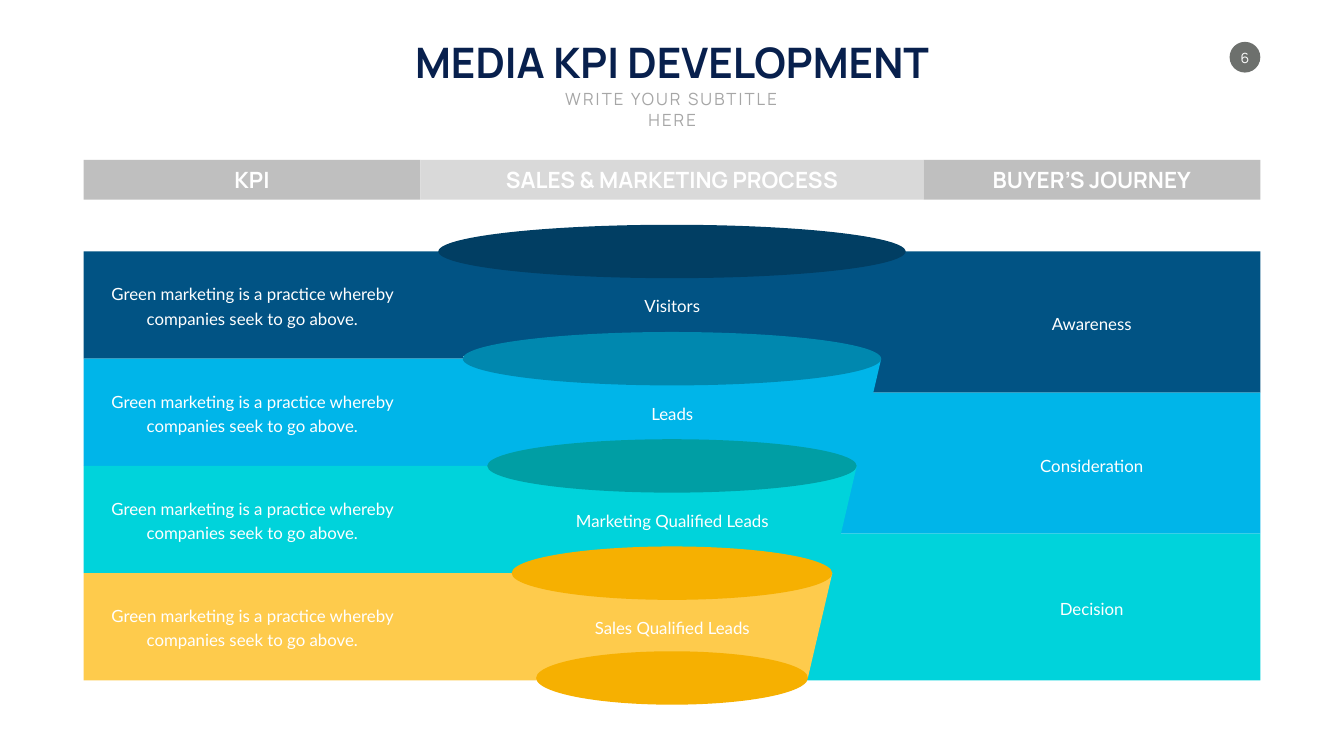
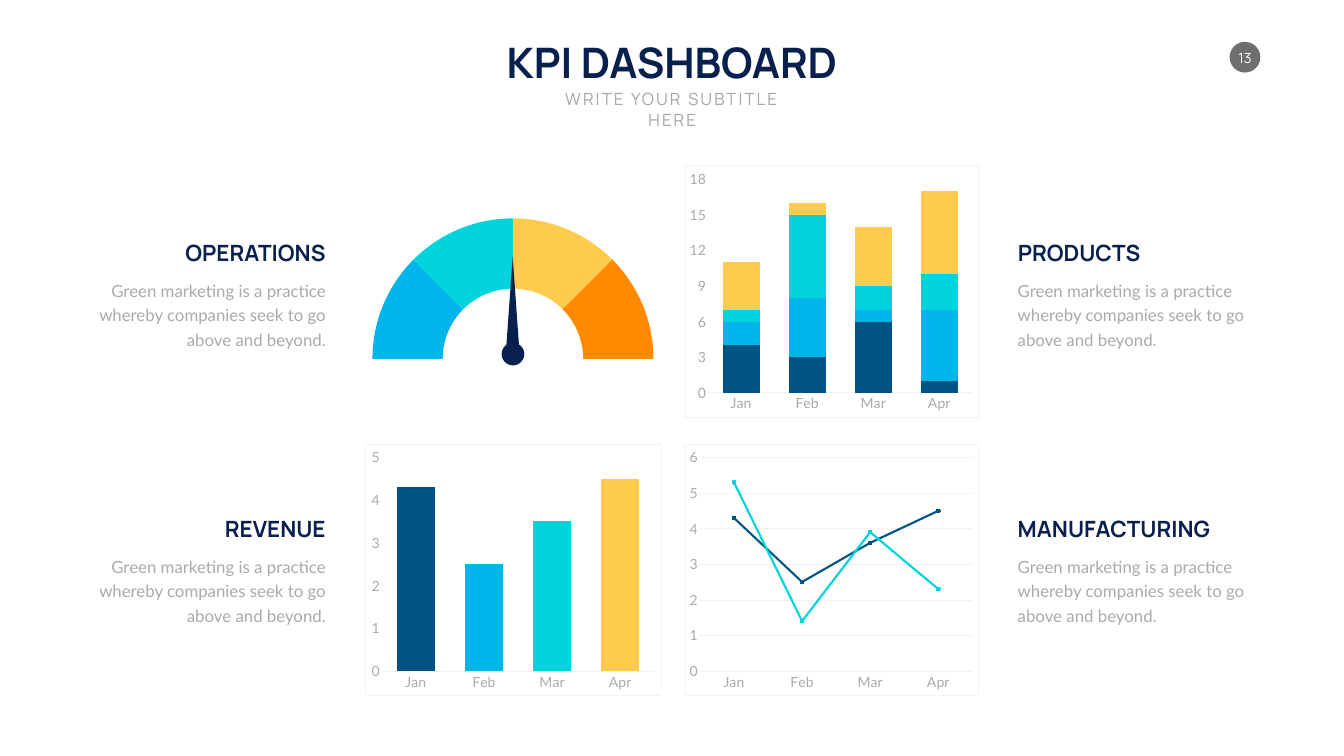
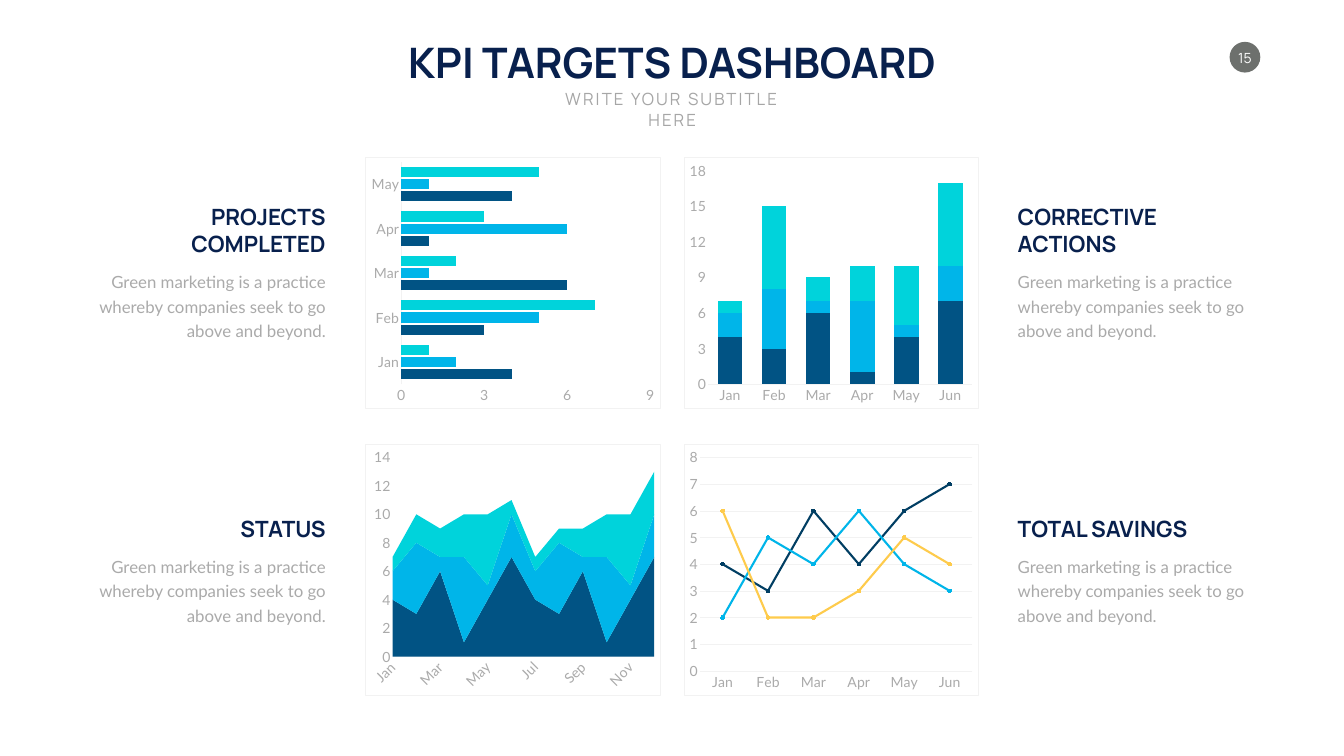
from lxml import etree
from pptx import Presentation
from pptx.chart.data import CategoryChartData
from pptx.dml.color import RGBColor
from pptx.enum.chart import XL_CHART_TYPE as Kind, XL_MARKER_STYLE as Mark, XL_TICK_MARK as Tick
from pptx.enum.shapes import MSO_SHAPE as Form
from pptx.enum.text import MSO_ANCHOR as Anchor, MSO_AUTO_SIZE as Fit, PP_ALIGN as Align
from pptx.oxml import parse_xml
from pptx.oxml.ns import nsdecls, qn
from pptx.util import Inches, Pt

WIDE, HIGH = 26.66, 15
MID = WIDE / 2
LEFT, RIGHT = 1.66, 25

NAVY, WHITE, GREY, PALE = "08204D", "FFFFFF", "AAAAAA", "F2F2F2"
BLUE, SKY, AQUA, GOLD, ORANGE = "015384", "00B5E9", "00D3DB", "FECB4C", "FF8A00"
DEEP, TEAL, SEA, AMBER = "013E63", "0088AF", "009EA4", "F6B001"
HEAD, BODY = "Manrope", "Lato"

SUBTITLE = "WRITE YOUR SUBTITLE HERE"
CLAIM = "Green marketing is a practice whereby companies seek to go above"
MONTHS = "Jan Feb Mar Apr May Jun Jul Aug Sep Oct Nov Dec".split()

# Funnel: name, column width, text width, fill
HEADS = [
    ("KPI", 6.68, 0.93, "BFBFBF"),
    ("SALES & MARKETING PROCESS", 9.98, 6.91, "D9D9D9"),
    ("BUYER’S JOURNEY", 6.68, 4.26, "BFBFBF"),
]
# name, fill, width of the left band
STAGES = [
    ("Visitors", BLUE, 7.52),
    ("Leads", SKY, 8.17),
    ("Marketing Qualified Leads", AQUA, 8.97),
    ("Sales Qualified Leads", GOLD, 9.5),
]
DISCS = [DEEP, TEAL, SEA, AMBER, AMBER]
# name, fill, left edge, height
JOURNEY = [
    ("Awareness", BLUE, 16.52, 2.8),
    ("Consideration", SKY, 16.52, 2.8),
    ("Decision", AQUA, 15.85, 2.91),
]

# Dashboards: heading, its width, its lines, chart
FULL = 4.9
KPI_TILES = [
    ("OPERATIONS", 3.06, 1, None),
    ("PRODUCTS", 2.65, 1, dict(
        kind=Kind.COLUMN_STACKED, unit=3, gap=80, lap=100, hues=[BLUE, SKY, AQUA, GOLD],
        rows=[[4, 3, 6, 1], [2, 5, 1, 6], [1, 7, 2, 3], [4, 1, 5, 7]])),
    ("REVENUE", 2.2, 1, dict(
        kind=Kind.COLUMN_CLUSTERED, unit=1, gap=80, hues=[BLUE],
        dots=[BLUE, SKY, AQUA, GOLD], rows=[[4.3, 2.5, 3.5, 4.5]])),
    ("MANUFACTURING", 4.2, 1, dict(
        kind=Kind.LINE_MARKERS, unit=1, hues=[BLUE, AQUA],
        rows=[[4.3, 2.5, 3.6, 4.5], [5.3, 1.4, 3.9, 2.3]])),
]
TARGET_TILES = [
    ("PROJECTS COMPLETED", FULL, 2, dict(
        kind=Kind.BAR_CLUSTERED, unit=3, gap=100, lap=-20, hues=[BLUE, SKY, AQUA],
        rows=[[4, 3, 6, 1, 4], [2, 5, 1, 6, 1], [1, 7, 2, 3, 5]])),
    ("CORRECTIVE ACTIONS", FULL, 2, dict(
        kind=Kind.COLUMN_STACKED, unit=3, gap=80, lap=100, hues=[BLUE, SKY, AQUA],
        rows=[[4, 3, 6, 1, 4, 7], [2, 5, 1, 6, 1, 3], [1, 7, 2, 3, 5, 7]])),
    ("STATUS", FULL, 1, dict(
        kind=Kind.AREA_STACKED, turn=-45, hues=[BLUE, SKY, AQUA],
        rows=[[4, 3, 6, 1, 4, 7] * 2, [2, 5, 1, 6, 1, 3] * 2,
              [1, 2, 2, 3, 5, 1, 1, 1, 2, 3, 5, 3]])),
    ("TOTAL SAVINGS", FULL, 1, dict(
        kind=Kind.LINE_MARKERS, unit=1, hues=[DEEP, SKY, GOLD],
        rows=[[4, 3, 6, 4, 6, 7], [2, 5, 4, 6, 4, 3], [6, 2, 2, 3, 5, 4]])),
]
GAUGE = [SKY, AQUA, GOLD, ORANGE] + [None] * 4


def rgb(hue):
    return RGBColor.from_string(hue)


def box(x, y, w, h):
    return [Inches(v) for v in (x, y, w, h)]


def paint(shape, hue):
    shape.shadow.inherit = False
    shape.fill.solid()
    shape.fill.fore_color.rgb = rgb(hue)
    shape.line.fill.background()


def draw(slide, form, hue, *at):
    paint(slide.shapes.add_shape(form, *box(*at)), hue)


def write(slide, text, at, size, hue, face=BODY, align=Align.CENTER,
          anchor=Anchor.TOP, wrap=True, lead=None):
    """Add a text box; lead is the line spacing in points."""
    shape = slide.shapes.add_textbox(*box(*at))
    frame = shape.text_frame
    frame.text = text
    frame.word_wrap = wrap
    frame.auto_size = Fit.SHAPE_TO_FIT_TEXT
    frame.vertical_anchor = anchor
    para = frame.paragraphs[0]
    para.alignment = align
    if lead:
        para.line_spacing = Pt(lead)
    font = para.runs[0].font
    font.size, font.name, font.color.rgb = Pt(size), face, rgb(hue)
    font.bold = face == HEAD and size > 24
    return shape


def label(slide, text, at):
    write(slide, text, at, 24, WHITE, anchor=Anchor.MIDDLE, lead=35)


def start(deck, title, width, page):
    """Add a blank slide with its title, subtitle and page number."""
    slide = deck.slides.add_slide(deck.slide_layouts[6])
    draw(slide, Form.OVAL, "6D706D", 24.39, 0.83, 0.61, 0.61)
    num = write(slide, page, (24.49, 0.97, 0.41, 0.34), 20, WHITE, HEAD,
                anchor=Anchor.MIDDLE, wrap=False).text_frame
    num.margin_left = num.margin_right = num.margin_top = num.margin_bottom = 0
    write(slide, title, (MID - width / 2, 0.67, width, 1.11), 60, NAVY, HEAD, wrap=False)
    sub = write(slide, SUBTITLE, (10.62, 1.72, 5.43, 0.5), 24, "A6A6A6", HEAD)
    sub.text_frame.paragraphs[0].runs[0].font._element.set("spc", "300")
    return slide


def funnel(slide):
    x = LEFT
    for name, wide, span, hue in HEADS:
        draw(slide, Form.RECTANGLE, hue, x, 3.17, wide, 0.79)
        write(slide, name, (x + (wide - span) / 2, 3.24, span, 0.64), 32, WHITE, HEAD,
              anchor=Anchor.BOTTOM, wrap=False)
        x += wide

    top, end, deep, thick = 4.99, 13.5, 2.08, 1.06
    step = (end - top) / len(STAGES)
    tops = [top + i * step for i in range(len(STAGES))]
    spans = [9.27 - 0.97 * i for i in range(len(DISCS))]

    y = top
    for name, hue, x, high in JOURNEY:
        draw(slide, Form.RECTANGLE, hue, x, y, RIGHT - x, high)
        label(slide, name, (19.13, y + high / 2 - 0.27, 5.05, 0.54))
        y += high
    for y, (name, hue, wide) in zip(tops, STAGES):
        draw(slide, Form.RECTANGLE, hue, LEFT, y, wide, step)
    for y, (name, hue, wide), a, b in zip(tops, STAGES, spans, spans[1:]):
        edge = [(MID - a / 2, y), (MID + a / 2, y),
                (MID + b / 2, y + deep), (MID - b / 2, y + deep)]
        edge = [(Inches(px), Inches(py)) for px, py in edge]
        pen = slide.shapes.build_freeform(*edge[0])
        pen.add_line_segments(edge[1:], close=True)
        paint(pen.convert_to_shape(), hue)
    for y, wide, hue in zip(tops + [tops[-1] + deep], spans, DISCS):
        draw(slide, Form.OVAL, hue, MID - wide / 2, y - thick / 2, wide, thick)
    for y, (name, hue, wide) in zip(tops, STAGES):
        label(slide, CLAIM + ".", (2.09, y + 0.53, 5.83, 1.03))
        label(slide, name, (10.81, y + 0.77, 5.05, 0.54))


def add_chart(slide, kind, cats, rows, at):
    data = CategoryChartData()
    data.categories = cats
    for i, row in enumerate(rows, 1):
        data.add_series(f"Series {i}", row)
    chart = slide.shapes.add_chart(kind, *box(*at), data).chart
    chart.has_legend = chart.has_title = False
    style(chart.font)
    return chart


def style(font):
    font.size, font.name, font.color.rgb = Pt(20), BODY, rgb(GREY)


def rule(line, hue=PALE, width=0.75):
    line.color.rgb = rgb(hue)
    line.width = Pt(width)


def frame(chart):
    """Put a thin pale border round the chart."""
    props = parse_xml(
        f'<c:spPr {nsdecls("c", "a")}><a:noFill/><a:ln w="9525"><a:solidFill>'
        f'<a:srgbClr val="{PALE}"/></a:solidFill></a:ln></c:spPr>')
    chart._chartSpace.find(qn("c:chart")).addnext(props)


def plot(slide, at, kind, rows, hues, unit=None, gap=None, lap=None, dots=(), turn=None):
    chart = add_chart(slide, kind, MONTHS[:len(rows[0])], rows, at)
    frame(chart)
    lines = kind == Kind.LINE_MARKERS
    cat, val = chart.category_axis, chart.value_axis
    for axis in (cat, val):
        axis.major_tick_mark = axis.minor_tick_mark = Tick.NONE
        axis.has_major_gridlines = False
        style(axis.tick_labels.font)
    rule(cat.format.line)
    val.format.line.fill.background()
    if unit:
        val.major_unit = unit
    if lines:
        val.has_major_gridlines = True
        rule(val.major_gridlines.format.line)
    if turn:
        text = cat._element.find(qn("c:txPr")).find(qn("a:bodyPr"))
        text.set("rot", str(turn * 60000))

    group = chart.plots[0]
    group.vary_by_categories = False
    if gap is not None:
        group.gap_width = gap
    if lap is not None:
        group.overlap = lap
    for series, hue in zip(group.series, hues):
        if lines:
            series.smooth = False
            rule(series.format.line, hue, 3)
            mark = series.marker
            mark.style, mark.size = Mark.CIRCLE, 5
            rule(mark.format.line, hue)
            fill = mark.format.fill
        else:
            fill = series.format.fill
        fill.solid()
        fill.fore_color.rgb = rgb(hue)
        for i, dot in enumerate(dots):
            fill = series.points[i].format.fill
            fill.solid()
            fill.fore_color.rgb = rgb(dot)


def gauge(slide):
    cats = [str(i + 1) for i in range(len(GAUGE))]
    chart = add_chart(slide, Kind.DOUGHNUT, cats, [[12] * len(GAUGE)], (7.25, 4.1, 5.85, 6.04))
    ring = chart.plots[0]
    for tag, num in (("c:firstSliceAng", 270), ("c:holeSize", 50)):
        item = ring._element.find(qn(tag))
        if item is None:
            item = etree.SubElement(ring._element, qn(tag))
        item.set("val", str(num))
    for i, hue in enumerate(GAUGE):
        form = ring.series[0].points[i].format
        form.line.fill.background()
        if hue:
            form.fill.solid()
            form.fill.fore_color.rgb = rgb(hue)
        else:
            form.fill.background()
    draw(slide, Form.ISOSCELES_TRIANGLE, NAVY, 10.04, 5.09, 0.26, 1.83)
    draw(slide, Form.OVAL, NAVY, 9.95, 6.8, 0.45, 0.45)


def board(slide, tiles, upper):
    """Lay out two rows of two charts, with text at the outer side of each."""
    rows = [(upper, upper + 2.15), (8.8, 10.91)]
    for i, (name, wide, lines, spec_of) in enumerate(tiles):
        y, text_y = rows[i // 2]
        east = i % 2
        x = 20.09 if east else LEFT
        align = Align.LEFT if east else Align.RIGHT
        high = 0.1 + 0.54 * lines
        head_x = x if east else x + FULL - wide
        write(slide, name, (head_x, text_y - 0.11 - high, wide, high), 32, NAVY, HEAD,
              align, Anchor.BOTTOM, wrap=wide == FULL)
        write(slide, CLAIM + " and beyond.", (x, text_y, FULL, 1.52), 24, GREY,
              align=align, lead=35)
        if spec_of:
            plot(slide, (13.56 if east else 7.25, y, 5.85, 5), **spec_of)
        else:
            gauge(slide)


def main():
    deck = Presentation()
    deck.slide_width, deck.slide_height = Inches(WIDE), Inches(HIGH)
    funnel(start(deck, "MEDIA KPI DEVELOPMENT", 10.72, "6"))
    board(start(deck, "KPI DASHBOARD", 7.1, "13"), KPI_TILES, 3.28)
    board(start(deck, "KPI TARGETS DASHBOARD", 11.06, "15"), TARGET_TILES, 3.11)
    deck.save("out.pptx")


if __name__ == "__main__":
    main()
